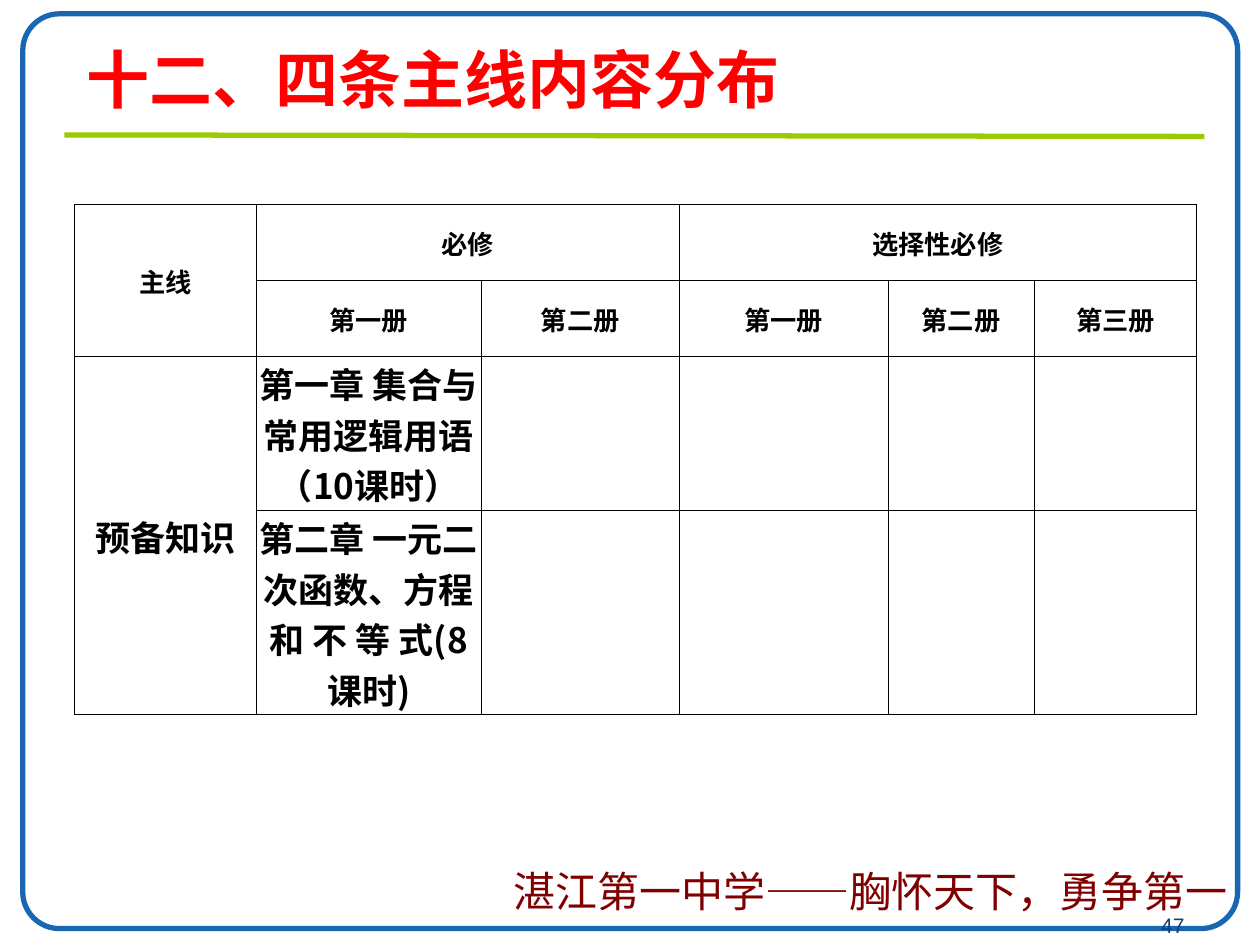
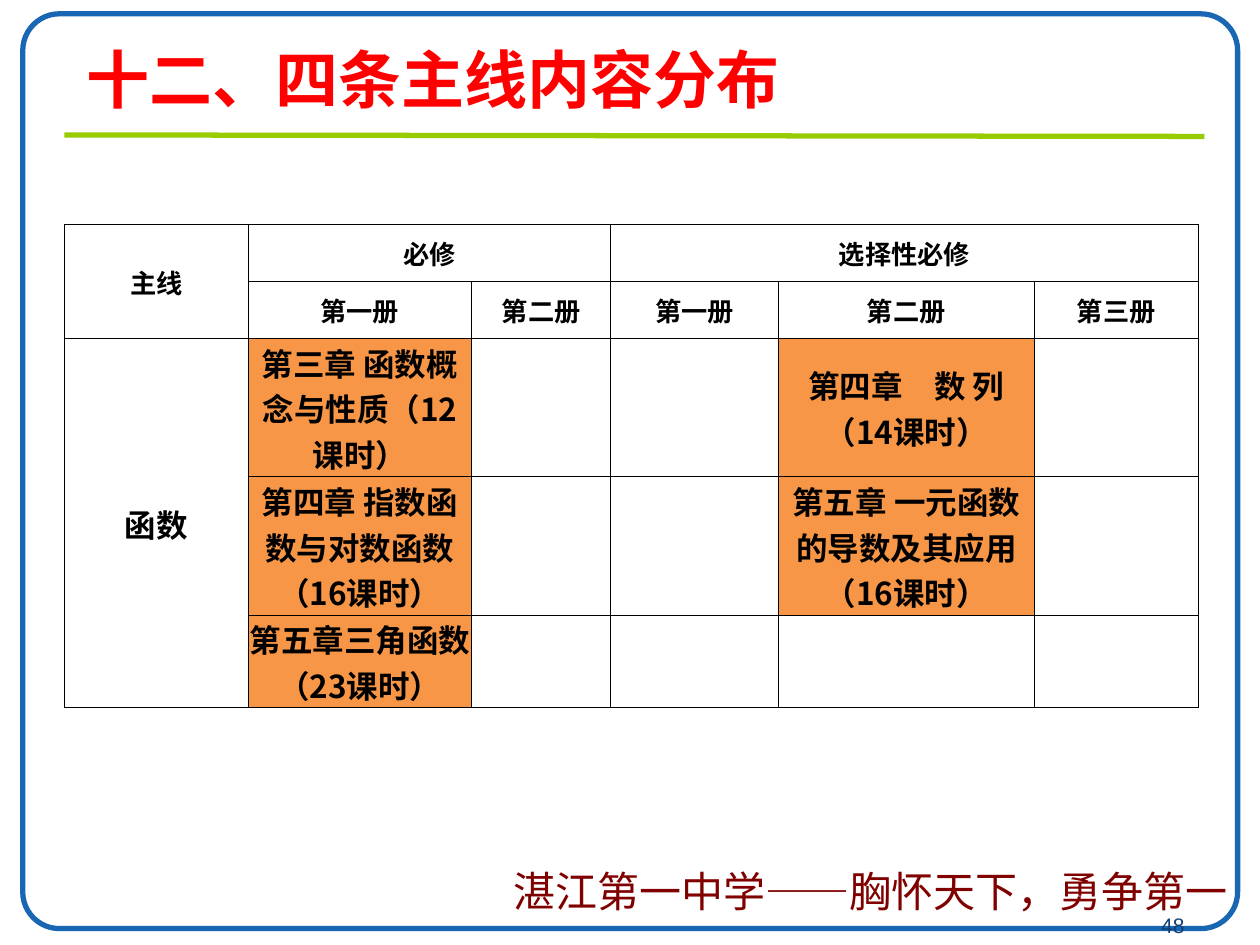
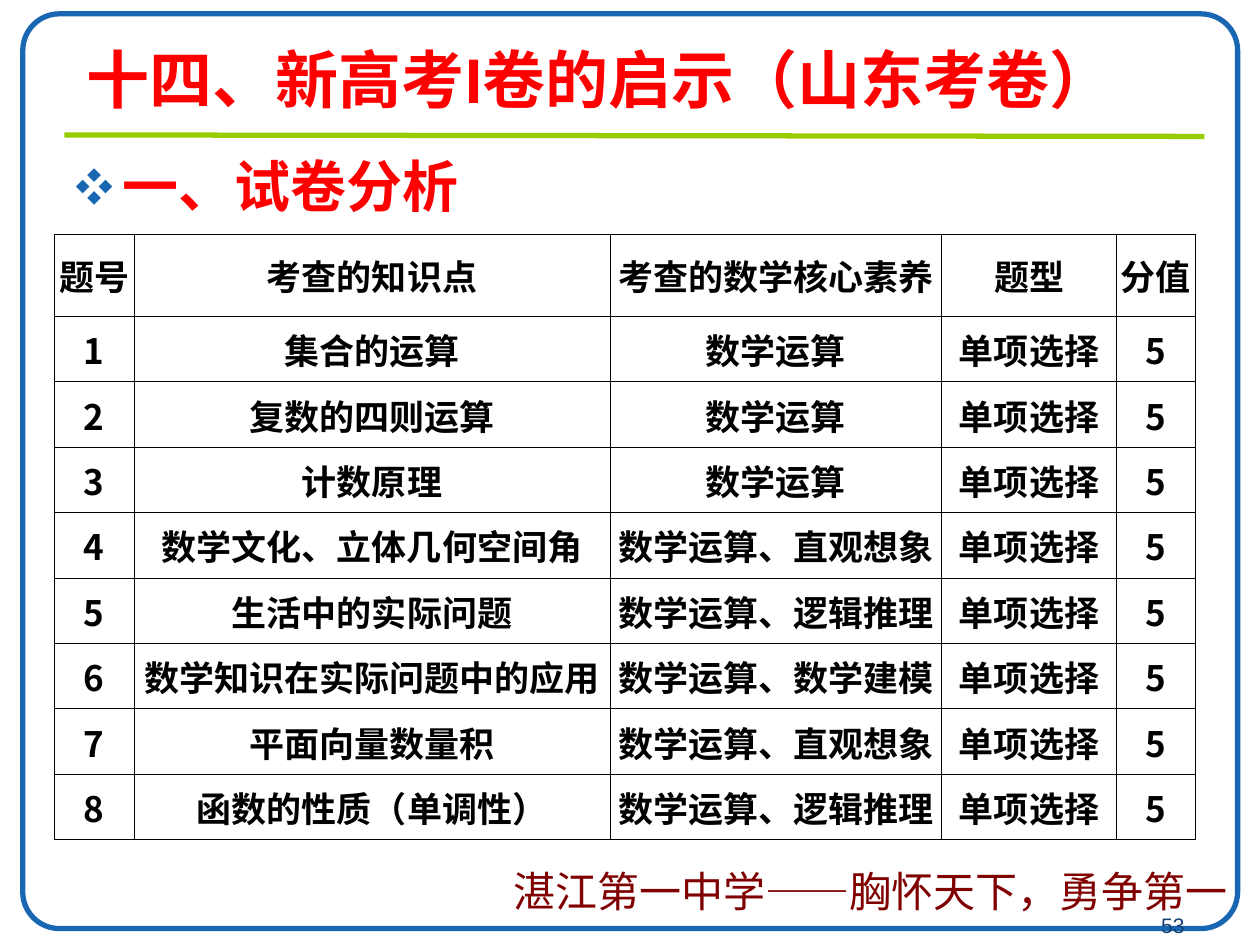
from lxml.etree import SubElement
from pptx import Presentation
from pptx.dml.color import RGBColor
from pptx.enum.shapes import MSO_CONNECTOR, MSO_SHAPE
from pptx.enum.text import MSO_ANCHOR, MSO_AUTO_SIZE, PP_ALIGN
from pptx.oxml import parse_xml
from pptx.oxml.ns import nsdecls, qn
from pptx.util import Cm, Pt

BLUE = RGBColor(0x19, 0x66, 0xB3)
NAVY = RGBColor(0x11, 0x3F, 0x71)
GREEN = RGBColor(0x99, 0xCC, 0x00)
RED = RGBColor(0xFF, 0x00, 0x00)
MAROON = RGBColor(0x80, 0x00, 0x00)
ORANGE = RGBColor(0xF7, 0x96, 0x46)
BLACK = RGBColor(0x00, 0x00, 0x00)

LATIN = "Arial"
CHINESE = "Noto Sans CJK SC"

VOLUMES = ["第一册", "第二册", "第一册", "第二册", "第三册"]
EXAM_HEADINGS = ["题号", "考查的知识点", "考查的数学核心素养", "题型", "分值"]
EXAM_QUESTIONS = [
    ("集合的运算", "数学运算"),
    ("复数的四则运算", "数学运算"),
    ("计数原理", "数学运算"),
    ("数学文化、立体几何空间角", "数学运算、直观想象"),
    ("生活中的实际问题", "数学运算、逻辑推理"),
    ("数学知识在实际问题中的应用", "数学运算、数学建模"),
    ("平面向量数量积", "数学运算、直观想象"),
    ("函数的性质（单调性）", "数学运算、逻辑推理"),
]


def add_bullet(paragraph, mark, color):
    properties = paragraph._p.get_or_add_pPr()
    properties.set("marL", str(Cm(0.95)))
    properties.set("indent", str(-Cm(0.95)))
    bullet_color = SubElement(properties, qn("a:buClr"))
    SubElement(bullet_color, qn("a:srgbClr"), val=str(color))
    SubElement(properties, qn("a:buSzPct"), val="68000")
    SubElement(properties, qn("a:buFont"), typeface=CHINESE)
    SubElement(properties, qn("a:buChar"), char=mark)


def write(frame, text, size, color=BLACK, font=CHINESE, bold=False,
          align=PP_ALIGN.LEFT, bullet=None):
    """Add text, or a list of (text, font) pieces, to the frame's first paragraph."""
    paragraph = frame.paragraphs[0]
    paragraph.alignment = align
    if bullet:
        add_bullet(paragraph, bullet, BLUE)
    pieces = [(text, font)] if isinstance(text, str) else text
    for piece, typeface in pieces:
        run = paragraph.add_run()
        run.text = piece
        run.font.size = Pt(size)
        run.font.bold = bold
        run.font.color.rgb = color
        run.font.name = typeface
        SubElement(run._r.get_or_add_rPr(), qn("a:ea"), typeface=CHINESE)


def add_text(slide, left, top, width, height, text, size, wrap=True,
             anchor=MSO_ANCHOR.TOP, **style):
    frame = slide.shapes.add_textbox(
        Cm(left), Cm(top), Cm(width), Cm(height)).text_frame
    frame.word_wrap = wrap
    frame.auto_size = MSO_AUTO_SIZE.NONE if wrap else MSO_AUTO_SIZE.SHAPE_TO_FIT_TEXT
    frame.vertical_anchor = anchor
    write(frame, text, size, **style)


def add_frame(slide):
    border = slide.shapes.add_shape(
        MSO_SHAPE.ROUNDED_RECTANGLE, Cm(0.46), Cm(0.28), Cm(24.49), Cm(18.44))
    border.adjustments[0] = 0.04
    border.shadow.inherit = False
    border.fill.background()
    border.line.color.rgb = BLUE
    border.line.width = Pt(3)


def add_title_rule(slide):
    rule = slide.shapes.add_connector(
        MSO_CONNECTOR.STRAIGHT, Cm(1.3), Cm(2.72), Cm(24.28), Cm(2.75))
    rule.line.color.rgb = GREEN
    rule.line.width = Pt(3)
    SubElement(rule._element.spPr, qn("a:effectLst"))


def add_page(deck, title, number):
    """Add a slide with the shared frame, motto, title and page number."""
    slide = deck.slides.add_slide(deck.slide_layouts[6])
    add_frame(slide)
    add_title_rule(slide)
    motto = [("湛江第一中学", LATIN), ("——", CHINESE), ("胸怀天下，勇争第一", LATIN)]
    add_text(slide, 10.1, 17.32, 14.9, 1.27, motto, 24, wrap=False,
             color=MAROON, align=PP_ALIGN.CENTER)
    add_text(slide, 1.5, 0.62, 22.66, 1.9, title, 36, color=RED, font=LATIN,
             bold=True, anchor=MSO_ANCHOR.MIDDLE)
    add_text(slide, 18.21, 18.27, 5.92, 0.69, str(number), 12, color=NAVY,
             font=LATIN, align=PP_ALIGN.RIGHT)
    return slide


def outline(cell):
    for side in ("lnL", "lnR", "lnT", "lnB"):
        cell._tc.get_or_add_tcPr().append(parse_xml(
            f'<a:{side} {nsdecls("a")} w="{Pt(0.5)}"><a:solidFill>'
            f'<a:srgbClr val="{BLACK}"/></a:solidFill></a:{side}>'))


def add_grid(slide, left, top, widths, heights):
    """Add an empty table with thin black borders and no fill."""
    grid = slide.shapes.add_table(
        len(heights), len(widths), Cm(left), Cm(top),
        Cm(sum(widths)), Cm(sum(heights))).table
    grid.first_row = grid.horz_banding = False
    for column, width in zip(grid.columns, widths):
        column.width = Cm(width)
    for row, height in zip(grid.rows, heights):
        row.height = Cm(height)
    for cell in grid.iter_cells():
        outline(cell)
        cell.fill.background()
        cell.vertical_anchor = MSO_ANCHOR.MIDDLE
        cell.margin_left = cell.margin_right = cell.margin_top = Cm(0.02)
        cell.margin_bottom = 0
    return grid


def fill_cell(cell, text, size, fill=None):
    write(cell.text_frame, text, size, bold=True, align=PP_ALIGN.CENTER)
    if fill:
        cell.fill.solid()
        cell.fill.fore_color.rgb = fill


def add_strand_table(slide, left, top, widths, heights, strand, chapters, size,
                     fill=None):
    """Show where a strand's chapters, keyed by (row, column), fall in the volumes."""
    grid = add_grid(slide, left, top, widths, heights)
    last_row = len(heights) - 1
    merges = [((0, 0), (1, 0)), ((0, 1), (0, 2)), ((0, 3), (0, 5)),
              ((2, 0), (last_row, 0))]
    for first, last in merges:
        grid.cell(*first).merge(grid.cell(*last))
    for column, heading in ((0, "主线"), (1, "必修"), (3, "选择性必修")):
        fill_cell(grid.cell(0, column), heading, 15)
    for column, volume in enumerate(VOLUMES, start=1):
        fill_cell(grid.cell(1, column), volume, 15)
    fill_cell(grid.cell(2, 0), strand, size)
    for (row, column), chapter in chapters.items():
        fill_cell(grid.cell(row, column), chapter, size, fill)


def add_exam_table(slide):
    heights = [1.65] + [1.32] * len(EXAM_QUESTIONS)
    grid = add_grid(slide, 1.1, 4.72, [1.6, 9.6, 6.68, 3.53, 1.58], heights)
    questions = [(str(number), topic, skill, "单项选择", "5")
                 for number, (topic, skill) in enumerate(EXAM_QUESTIONS, start=1)]
    for row, values in enumerate([EXAM_HEADINGS, *questions]):
        for column, value in enumerate(values):
            fill_cell(grid.cell(row, column), value, 20)


def main():
    deck = Presentation()
    deck.slide_width, deck.slide_height = Cm(25.4), Cm(19.05)

    strands_title = "十二、四条主线内容分布"
    preparation = add_page(deck, strands_title, 47)
    add_strand_table(
        preparation, 1.5, 4.12, [3.67, 4.53, 3.99, 4.21, 2.95, 3.27],
        [1.53, 1.53, 3.11, 4.12], "预备知识",
        {(2, 1): "第一章 集合与常用逻辑用语（10课时）",
         (3, 1): "第二章 一元二次函数、方程 和 不 等 式(8课时)"}, 20)

    functions = add_page(deck, strands_title, 48)
    add_strand_table(
        functions, 1.3, 4.52, [3.7, 4.51, 2.8, 3.38, 5.16, 3.31],
        [1.15, 1.15, 2.79, 2.79, 1.86], "函数",
        {(2, 1): "第三章 函数概念与性质（12课时）",
         (2, 4): "第四章　数 列（14课时）",
         (3, 1): "第四章 指数函数与对数函数（16课时）",
         (3, 4): "第五章 一元函数的导数及其应用（16课时）",
         (4, 1): "第五章三角函数（23课时）"}, 18, ORANGE)

    exam = add_page(deck, "十四、新高考I卷的启示（山东考卷）", 53)
    add_text(exam, 1.27, 2.92, 22.86, 14.86, "一、试卷分析", 32, color=RED,
             bold=True, bullet="❖")
    add_exam_table(exam)

    deck.save("out.pptx")


if __name__ == "__main__":
    main()
